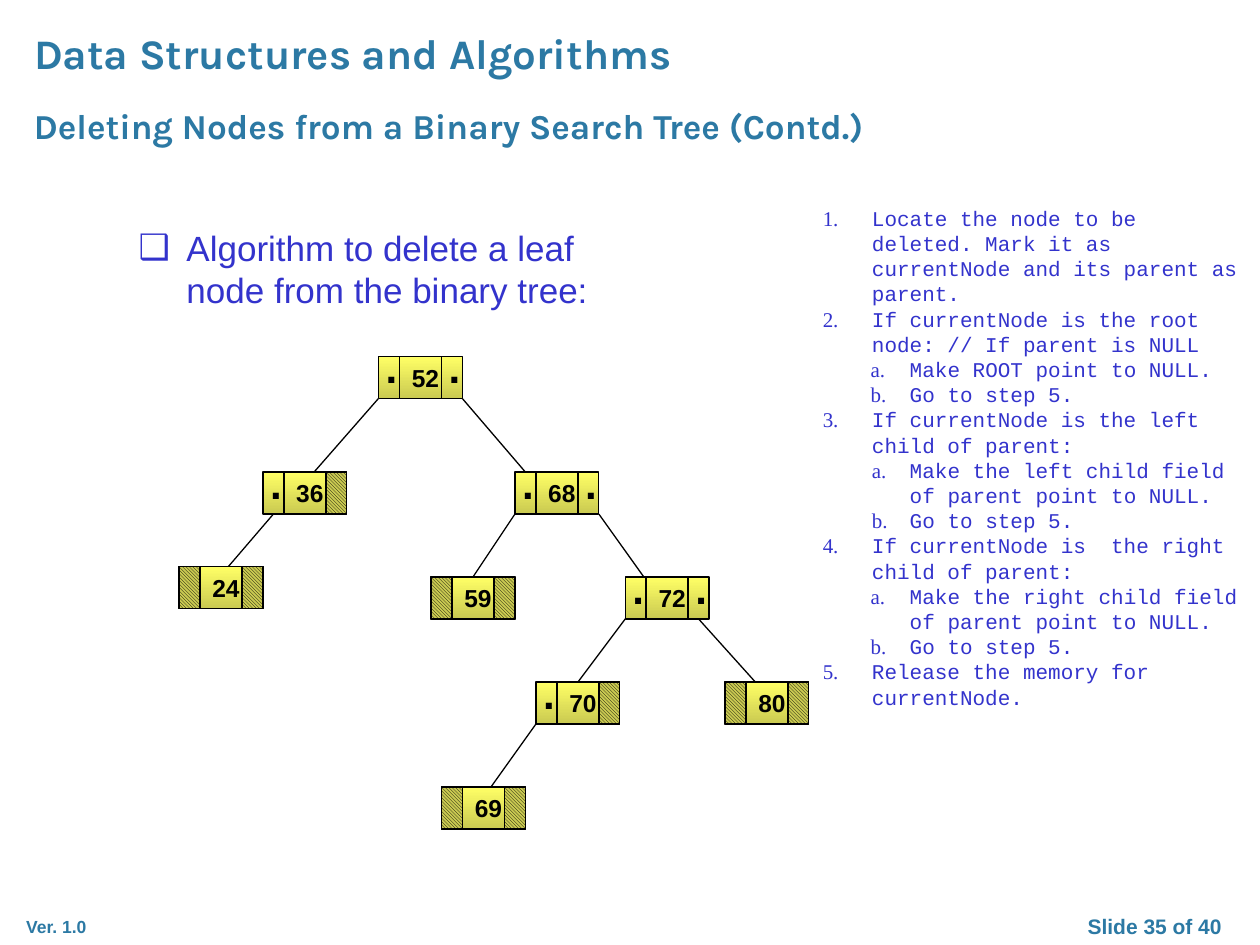
import pptx
import pptx.util
import pptx.dml.color
import pptx.enum.dml
import pptx.enum.shapes
import pptx.enum.text
import pptx.oxml.ns
from lxml import etree
from dataclasses import dataclass

Inches, Pt = pptx.util.Inches, pptx.util.Pt
ALIGN = pptx.enum.text.PP_ALIGN
FIT = pptx.enum.text.MSO_AUTO_SIZE
qn = pptx.oxml.ns.qn


def rgb(value):
    return pptx.dml.color.RGBColor.from_string(value)


@dataclass(frozen=True)
class Theme:
    heading: dict
    subheading: dict
    version: dict
    counter: dict
    body: dict
    code: dict
    label: dict
    key: dict
    dot: dict
    ink: str = "000000"
    light: str = "FFFF66"
    dark: str = "CACA51"
    line: float = 0.75


def font(name, size, color, bold=False):
    return {"name": name, "size": Pt(size), "color": color, "bold": bold}


TEAL, BLUE, BLACK = "2C79A4", "3333CC", "000000"
theme = Theme(
    heading=font("Karla", 24, TEAL, True), subheading=font("Karla", 20, TEAL, True),
    version=font("Arial", 10, TEAL, True), counter=font("Arial", 12, TEAL, True),
    body=font("Arial", 20, BLUE), code=font("Courier New", 12, BLUE),
    label=font("Times New Roman", 12, BLUE),
    key=font("Arial", 14, BLACK, True), dot=font("Arial", 24, BLACK, True))

# Steps: level, label, wording, hanging indent
STEPS = [
    (0, "1.", "Locate the node to be deleted. Mark it as currentNode and its parent as parent.", 0.39),
    (0, "2.", "If currentNode is the root node: // If parent is NULL ", 0.39),
    (1, "a.", "Make ROOT point to NULL.", 0.31),
    (1, "b.", "Go to step 5.", 0.31),
    (0, "3.", "If currentNode is the left child of parent:", 0.39),
    (1, "a.", "Make the left child field of parent point to NULL.", 0.3),
    (1, "b.", "Go to step 5.", 0.3),
    (0, "4.", "If currentNode is  the right child of parent:", 0.39),
    (1, "a.", "Make the right child field of parent point to NULL.", 0.31),
    (1, "b.", "Go to step 5.", 0.31),
    (0, "5.", "Release the memory for currentNode.", 0.39),
]

# Tree grid: 60 columns by 45 rows, each node 8 by 4 cells
COLS, ROWS, NODE_W, NODE_H, FIELD_W = 60, 45, 8, 4, 2
NODES = {52: (19, 0), 36: (8, 11), 68: (32, 11), 24: (0, 20), 59: (24, 21),
         72: (42.5, 21), 70: (34, 31), 80: (52, 31), 69: (25, 41)}
# Parent, child, start within parent, end within child
EDGES = [(52, 36, (0, 4), (4, 1)), (52, 68, (8, 4), (1, 0)),
         (36, 24, (1, 4), (3, 2)), (68, 59, (0, 4), (4, 0)),
         (68, 72, (8, 4), (2.5, 1)), (72, 70, (1.5, 2), (1, 4)),
         (72, 80, (7, 4), (6.5, 4)), (70, 69, (0, 4), (4, 1))]


def add_run(p, text, style):
    r = p.add_run()
    r.text = text
    for name, value in style.items():
        if name == "color":
            r.font.color.rgb = rgb(value)
        else:
            setattr(r.font, name, value)


def set_frame(sp, box, wrap=True, fit=FIT.SHAPE_TO_FIT_TEXT):
    for name, value in zip(("left", "top", "width", "height"), box):
        setattr(sp, name, Inches(value))
    tf = sp.text_frame
    for name, value in {"word_wrap": wrap, "auto_size": fit,
                        "vertical_anchor": pptx.enum.text.MSO_ANCHOR.TOP}.items():
        setattr(tf, name, value)
    return tf


def set_paragraph(p, left=0, hanging=0, bullet=None, align=ALIGN.LEFT):
    p.alignment, p.space_before = align, Pt(0)
    pPr = p._p.get_or_add_pPr()
    pPr.set("marL", str(Inches(left)))
    pPr.set("indent", str(-Inches(hanging)))
    mark = etree.SubElement(pPr, qn("a:buChar" if bullet else "a:buNone"))
    if bullet:
        mark.set("char", bullet)


def write_line(sp, box, text, style, wrap=True, **layout):
    p = set_frame(sp, box, wrap).paragraphs[0]
    set_paragraph(p, **layout)
    add_run(p, text, style)


def add_label(slide, box, text, style, **layout):
    sp = slide.shapes.add_textbox(*map(Inches, box))
    write_line(sp, box, text, style, **layout)


def add_line(slide, start, end):
    sp = slide.shapes.add_connector(pptx.enum.shapes.MSO_CONNECTOR.STRAIGHT,
                                    *map(Inches, start + end))
    sp.line.color.rgb, sp.line.width = rgb(theme.ink), Pt(theme.line)
    etree.SubElement(sp._element.spPr, qn("a:effectLst"))


def add_rect(slide, box, hatched=False):
    sp = slide.shapes.add_shape(pptx.enum.shapes.MSO_SHAPE.RECTANGLE, *map(Inches, box))
    sp.shadow.inherit = False
    sp.line.color.rgb, sp.line.width = rgb(theme.ink), Pt(theme.line)
    if hatched:
        sp.fill.patterned()
        sp.fill.pattern = pptx.enum.dml.MSO_PATTERN.DARK_DOWNWARD_DIAGONAL
        sp.fill.fore_color.rgb, sp.fill.back_color.rgb = rgb(theme.ink), rgb(theme.dark)
    else:
        sp.fill.gradient()
        sp.fill.gradient_angle = 270
        for stop, color, place in zip(sp.fill.gradient_stops, (theme.light, theme.dark), (0, 1)):
            stop.color.rgb, stop.position = rgb(color), place


# Headings and footer
def add_header(slide, box):
    x, y, w, h = box
    write_line(slide.shapes.title, (x, y, w, 0.51), "Data Structures and Algorithms", theme.heading)
    add_label(slide, (x, y + h - 0.43, 7.5, 0.43),
              "Deleting Nodes from a Binary Search Tree (Contd.)", theme.subheading)


def add_footer(slide, box):
    x, y, w, h = box
    add_label(slide, (x + 0.11, y + 0.02, 0.79, 0.27), "Ver. 1.0", theme.version)
    add_label(slide, (x + w - 1.67, y, 1.67, h), "Slide 35 of 40", theme.counter,
              align=ALIGN.CENTER)


# Topic and numbered steps
def add_topic(sp, box):
    write_line(sp, box, "Algorithm to delete a leaf node from the binary tree:", theme.body,
               left=0.38, hanging=0.38, bullet="\u2751")
    sp.text_frame.auto_size = FIT.NONE


def add_steps(sp, box):
    tf = set_frame(sp, box)
    for i, (level, label, text, hanging) in enumerate(STEPS):
        p = tf.add_paragraph() if i else tf.paragraphs[0]
        p.level = level
        set_paragraph(p, left=(0.39, 0.69)[level], hanging=hanging)
        add_run(p, label, theme.label)
        add_run(p, "\t" + text, theme.code)


# Binary search tree
def add_tree(slide, box):
    x, y, w, h = box
    cw, rh = w / COLS, h / ROWS

    def at(key, dx, dy):
        col, row = NODES[key]
        return x + (col + dx) * cw, y + (row + dy) * rh

    def area(key, dx, dy, cols, rows):
        return at(key, dx, dy) + (cols * cw, rows * rh)

    for parent, child, start, end in EDGES:
        add_line(slide, at(parent, *start), at(child, *end))
    linked = {(parent, child > parent) for parent, child, *_ in EDGES}
    for key in NODES:
        add_rect(slide, area(key, 0, 0, NODE_W, NODE_H))
        add_label(slide, area(key, FIELD_W, 0, 5, NODE_H), str(key), theme.key, wrap=False)
        for right in (False, True):
            field = NODE_W - FIELD_W if right else 0
            divider = field if right else FIELD_W
            add_line(slide, at(key, divider, 0), at(key, divider, NODE_H))
            if (key, right) in linked:
                add_label(slide, area(key, field - 0.5, -2, 3.5, 6), ".", theme.dot, wrap=False)
            else:
                add_rect(slide, area(key, field, 0, FIELD_W, NODE_H), hatched=True)


prs = pptx.Presentation()
prs.slide_width, prs.slide_height = Inches(10), Inches(7.5)
slide = prs.slides.add_slide(prs.slide_layouts[3])
add_header(slide, (0.17, 0.17, 8.33, 1.04))
add_topic(slide.placeholders[1], (1, 1.75, 4.1, 5))
add_steps(slide.placeholders[2], (6.43, 1.58, 3.57, 4.14))
add_tree(slide, (1.42, 2.83, 5, 3.75))
add_footer(slide, (0, 7.2, 10, 0.3))
prs.save("out.pptx")
